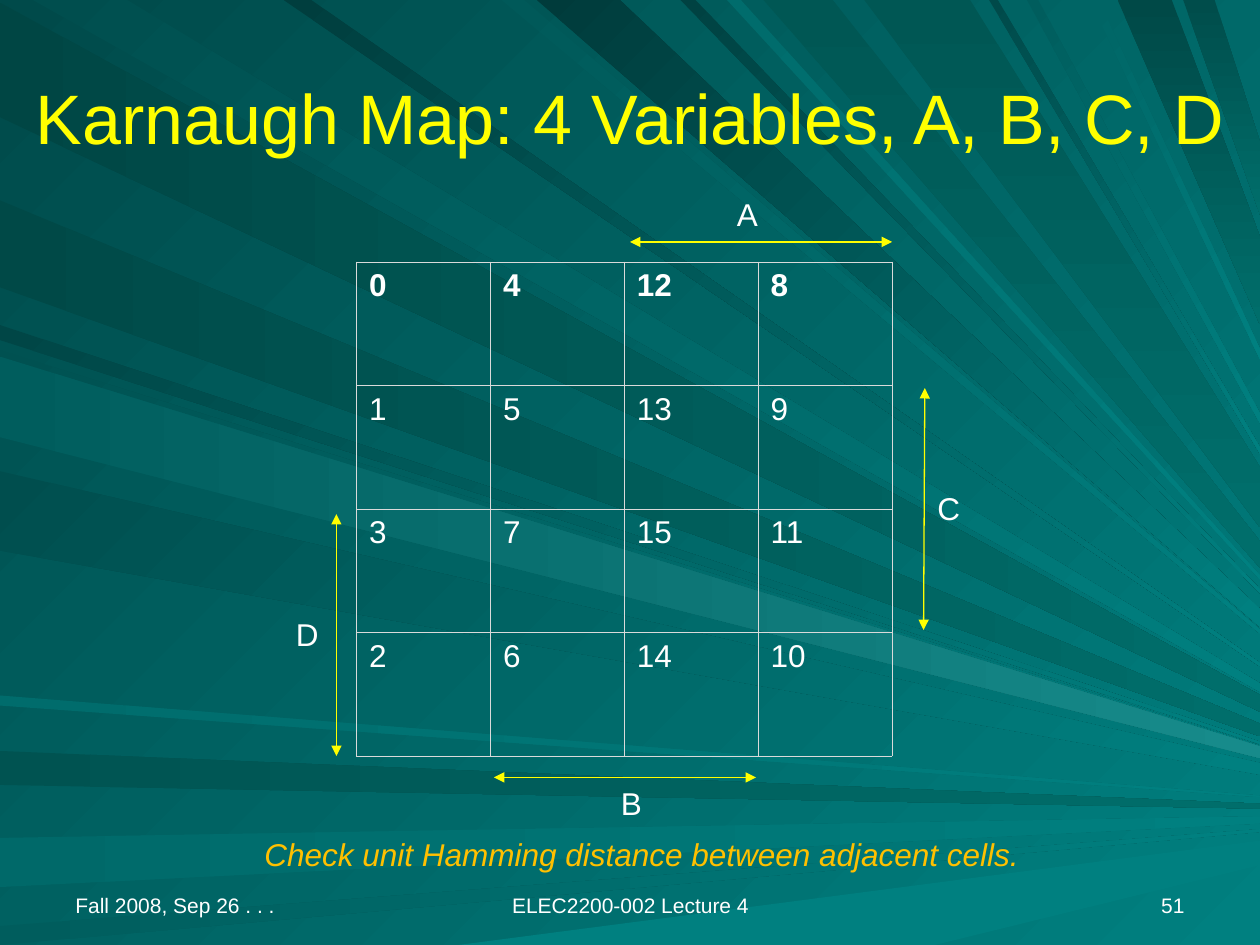
from lxml import etree
from pptx import Presentation
from pptx.dml.color import RGBColor
from pptx.enum import shapes, text
from pptx.oxml import ns
from pptx.util import Inches, Pt

YELLOW = RGBColor(0xFF, 0xFF, 0x00)
AMBER = RGBColor(0xFF, 0xC0, 0x00)
WHITE = RGBColor(0xFF, 0xFF, 0xFF)
TEAL = RGBColor(0x00, 0x80, 0x80)
DULL_TEAL = RGBColor(0x00, 0x6E, 0x6B)
BRIGHT_TEAL = RGBColor(0x17, 0x8B, 0x8B)
DEEP_TEAL = RGBColor(0x00, 0x4A, 0x4A)
GRID = "DADADA"
LEFT, CENTER, RIGHT = text.PP_ALIGN.LEFT, text.PP_ALIGN.CENTER, text.PP_ALIGN.RIGHT

WIDTH, HEIGHT = 10, 7.5
TITLE = "Karnaugh Map: 4 Variables, A, B, C, D"
HINT = "Check unit Hamming distance between adjacent cells."
MINTERMS = [
    [0, 4, 12, 8],
    [1, 5, 13, 9],
    [3, 7, 15, 11],
    [2, 6, 14, 10],
]
MAP_BOX = (2.83, 2.08, 4.25, 3.92)
VARIABLES = [
    ("A", (5.75, 1.5), (5, 1.92, 7.08, 1.92)),
    ("B", (4.83, 6.17), (3.92, 6.17, 6, 6.17)),
    ("C", (7.34, 3.83), (7.33, 5, 7.34, 3.08)),
    ("D", (2.25, 4.83), (2.67, 6, 2.67, 4.08)),
]
FOOTERS = [
    ("Fall 2008, Sep 26 . . .", 0.5, 2.33, LEFT),
    ("ELEC2200-002 Lecture 4", 3.42, 3.17, CENTER),
    ("51", 7.17, 2.33, RIGHT),
]
VANISHING = (11.7, 6.45)
STYLES = {
    "slant": (TEAL, 45),
    "level": (TEAL, 0),
    "dull": (DULL_TEAL, 0),
    "fall": (DULL_TEAL, 90),
    "bright": (BRIGHT_TEAL, 0),
}
RAYS = [
    ("left", "dull", "004644", 0.02, 0.93),
    ("top", "slant", "004E4E", 0.26, 1.01),
    ("left", "dull", "005351", 5.96, 6.23),
    ("left", "level", "006969", 6.65, 7.04),
    ("left", "level", "005D5D", 7.35, 7.5),
    ("bottom", "level", "008080", 3.64, 7.42),
    ("left", "slant", "004646", 2.58, 2.7),
    ("left", "dull", "004947", 1.59, 2.28),
    ("top", "slant", "005959", 3.98, 4.16),
    ("top", "slant", "003B3B", 4.26, 4.92),
    ("top", "slant", "004242", 5.4, 5.52),
    ("top", "fall", "005754", 6.06, 6.61),
    ("top", "fall", "004947", 8.87, 9.3),
    ("top", "fall", "004D4B", 9.39, 9.64),
    ("left", "slant", "005151", 2.78, 3.42),
    ("left", "slant", "004E4E", 3.74, 4.37),
    ("left", "level", "006C6C", 5.52, 5.6),
    ("top", "slant", "003E3E", 2.25, 2.47),
    ("top", "slant", "006C6C", 5.77, 5.88),
    ("top", "fall", "005754", 6.86, 7.7),
    ("top", "slant", "004A4A", 7.85, 7.92),
    ("top", "slant", "005D5D", 8.15, 8.24),
    ("top", "slant", "006565", 8.65, 8.72),
    ("left", "bright", "005D5D", 2.83, 3.47),
]


def inches(values):
    return [Inches(value) for value in values]


def paint(fill, start, end, angle):
    fill.gradient()
    fill.gradient_angle = (360 - angle) % 360
    for stop, color in zip(fill.gradient_stops, (start, end)):
        stop.color.rgb = color


def write(frame, words, size=18, color=WHITE, bold=False, italic=False, align=LEFT):
    paragraph = frame.paragraphs[0]
    paragraph.alignment = align
    run = paragraph.add_run()
    run.text = words
    run.font.name = "Arial"
    run.font.size = Pt(size)
    run.font.color.rgb = color
    run.font.bold = bold
    run.font.italic = italic


def add_label(slide, words, box, wrap=True, anchor=text.MSO_ANCHOR.TOP, **style):
    frame = slide.shapes.add_textbox(*inches(box)).text_frame
    frame.word_wrap = wrap
    frame.vertical_anchor = anchor
    write(frame, words, **style)


def edge_point(edge, offset):
    return {"left": (0, offset), "top": (offset, 0), "bottom": (offset, HEIGHT)}[edge]


def right_edge_point(x, y):
    share = (WIDTH - x) / (VANISHING[0] - x)
    return WIDTH, y + share * (VANISHING[1] - y)


def add_ray(slide, edge, style, dark, first, last):
    near = [edge_point(edge, offset) for offset in (first, last)]
    far = [right_edge_point(*point) for point in reversed(near)]
    points = [inches(point) for point in near + far]
    builder = slide.shapes.build_freeform(*points[0])
    builder.add_line_segments(points[1:], close=True)
    ray = builder.convert_to_shape()
    ray.shadow.inherit = False
    ray.line.fill.background()
    paint(ray.fill, RGBColor.from_string(dark), *STYLES[style])


def add_span(slide, ends):
    span = slide.shapes.add_connector(shapes.MSO_CONNECTOR.STRAIGHT, *inches(ends))
    span.line.color.rgb = YELLOW
    span.line.width = Pt(0.75)
    properties = span.element.spPr
    stroke = properties.find(ns.qn("a:ln"))
    for tip in ("a:headEnd", "a:tailEnd"):
        etree.SubElement(stroke, ns.qn(tip), type="triangle")
    etree.SubElement(properties, ns.qn("a:effectLst"))


def add_borders(cell):
    properties = cell._tc.get_or_add_tcPr()
    for side in ("a:lnL", "a:lnR", "a:lnT", "a:lnB"):
        border = etree.SubElement(properties, ns.qn(side), w=str(Pt(0.45)))
        solid = etree.SubElement(border, ns.qn("a:solidFill"))
        etree.SubElement(solid, ns.qn("a:srgbClr"), val=GRID)


def add_map(slide):
    size = len(MINTERMS)
    table = slide.shapes.add_table(size, size, *inches(MAP_BOX)).table
    table.first_row = False
    table.horz_banding = False
    for r, minterms in enumerate(MINTERMS):
        for c, minterm in enumerate(minterms):
            cell = table.cell(r, c)
            add_borders(cell)
            cell.fill.background()
            write(cell.text_frame, str(minterm), bold=r == 0)


def main():
    deck = Presentation()
    deck.slide_width, deck.slide_height = inches((WIDTH, HEIGHT))
    slide = deck.slides.add_slide(deck.slide_layouts[5])
    paint(slide.background.fill, DEEP_TEAL, TEAL, 45)
    for ray in RAYS:
        add_ray(slide, *ray)

    title = slide.shapes.title
    title.left, title.top, title.width, title.height = inches((0, 0.3, WIDTH, 1.25))
    title.text_frame.vertical_anchor = text.MSO_ANCHOR.MIDDLE
    write(title.text_frame, TITLE, size=40, color=YELLOW, align=CENTER)
    title.element.getparent().append(title.element)

    add_map(slide)
    for words, left, width, align in FOOTERS:
        add_label(slide, words, (left, 6.83, width, 0.5),
                  anchor=text.MSO_ANCHOR.BOTTOM, size=12, align=align)
    add_label(slide, HINT, (2, 6.58, 6.33, 0.4), color=AMBER, italic=True)
    for variable, corner, ends in VARIABLES:
        add_span(slide, ends)
        add_label(slide, variable, (*corner, 0.38, 0.4), wrap=False)
    deck.save("out.pptx")


if __name__ == "__main__":
    main()
